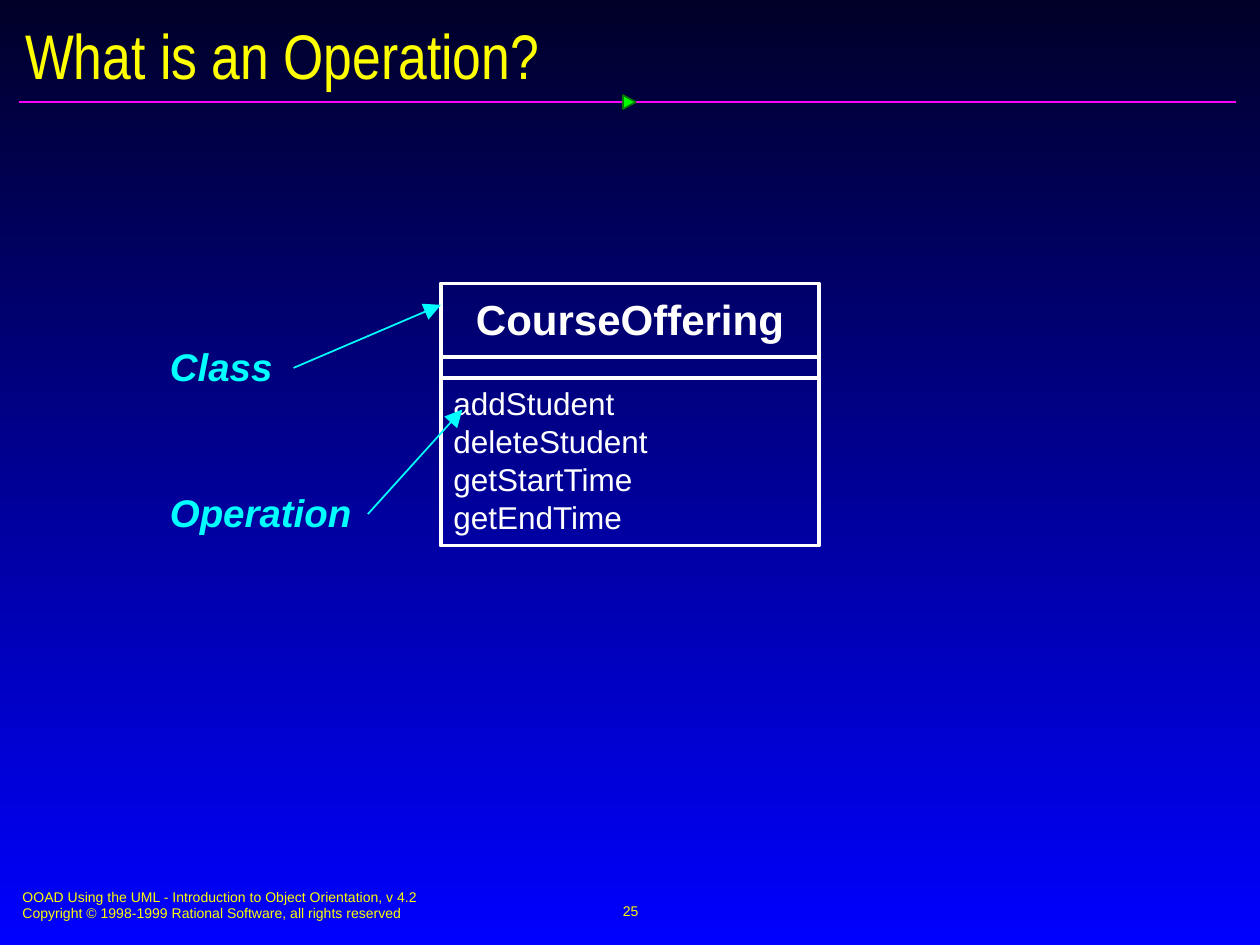
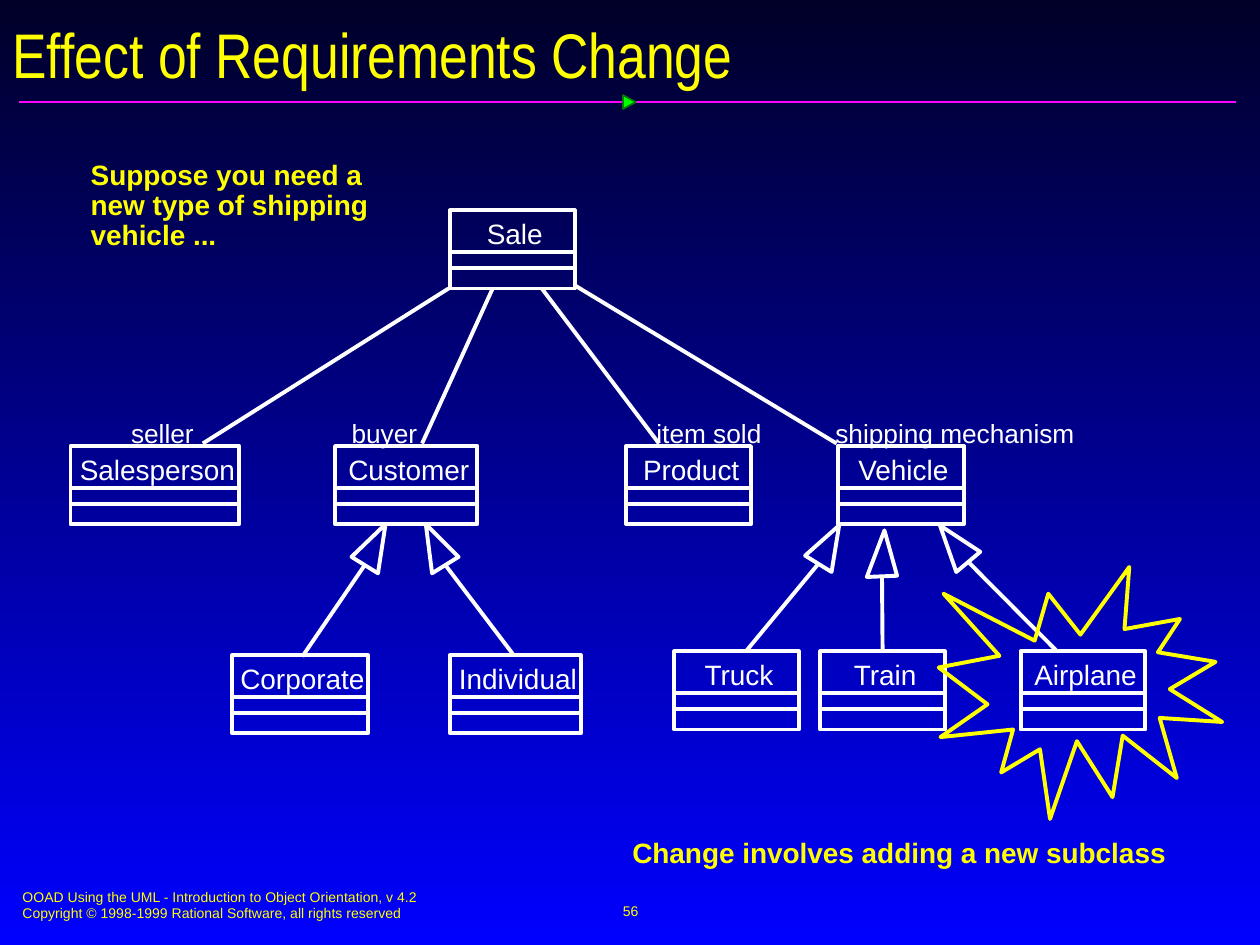
from lxml import etree
from pptx import Presentation
from pptx import util as u
from pptx.dml.color import RGBColor
from pptx.enum import shapes as kinds, text as txt
from pptx.oxml.ns import qn

WHITE, YELLOW, CYAN = "FFFFFF", "FFFF00", "00FFFF"
PINK, GREEN, MOSS = "FF01FF", "00FF00", "037C03"
NAVY, BLUE = "000028", "0000FF"
BODY, HEAD = "Arial", "Arial Narrow"
THICK, THIN = 2.25, 1
LEFT, MID = txt.PP_ALIGN.LEFT, txt.PP_ALIGN.CENTER
PAGE = (0, 0, 10, 7.5)


def paint(color, code):
    color.rgb = RGBColor.from_string(code)


def inch(*nums):
    return [u.Inches(n) for n in nums]


def ink(shape, line, width, fill=None):
    shape.shadow.inherit = False
    if fill:
        shape.fill.solid()
        paint(shape.fill.fore_color, fill)
    else:
        shape.fill.background()
    paint(shape.line.color, line)
    shape.line.width = u.Pt(width)
    return shape


def solid(slide, kind, box, line=WHITE, width=THICK, fill=None):
    return ink(slide.shapes.add_shape(kind, *inch(*box)), line, width, fill)


def link(slide, start, end, color=WHITE, width=THICK, tip=False):
    line = slide.shapes.add_connector(
        kinds.MSO_CONNECTOR.STRAIGHT, *inch(*start, *end))
    paint(line.line.color, color)
    line.line.width = u.Pt(width)
    props = line.element.spPr
    if tip:
        etree.SubElement(props.find(qn("a:ln")), qn("a:tailEnd"),
                         type="triangle", w="lg", len="lg")
    etree.SubElement(props, qn("a:effectLst"))
    return line


def style(frame, size, color, font=BODY, bold=False, slant=False, align=LEFT):
    for para in frame.paragraphs:
        para.alignment = align
        para.font.size = u.Pt(size)
        para.font.name = font
        para.font.bold = bold
        para.font.italic = slant
        paint(para.font.color, color)


def pad(frame, side, edge):
    frame.margin_left = frame.margin_right = u.Inches(side)
    frame.margin_top = frame.margin_bottom = u.Inches(edge)


def write(slide, box, words, size, color, inset=(0.1, 0.05), wrap=True, **look):
    shape = slide.shapes.add_textbox(*inch(*box))
    frame = shape.text_frame
    frame.word_wrap = wrap
    pad(frame, *inset)
    frame.text = words
    style(frame, size, color, **look)
    return shape


def backdrop(master):
    fill = master.background.fill
    fill.gradient()
    fill.gradient_angle = 270
    for stop, code in zip(fill.gradient_stops, (NAVY, BLUE)):
        paint(stop.color, code)


def band(slide, master, box):
    x, y, w, h = box
    parts = [
        link(slide, (x + 0.15, y + 0.81), (x + w - 0.19, y + 0.81), PINK, THIN),
        solid(slide, kinds.MSO_SHAPE.ISOSCELES_TRIANGLE,
              (x + 4.94, y + 0.76, 0.11, 0.1), MOSS, THIN, GREEN),
        write(slide, (x + 0.08, y + h - 0.5, 5.1, 0.37),
              "OOAD Using the UML - Introduction to Object Orientation, v 4.2\n"
              "Copyright © 1998-1999 Rational Software, all rights reserved",
              8, YELLOW),
    ]
    parts[1].rotation = 90
    for num, part in enumerate(parts, 20):
        part.element.xpath("./*/p:cNvPr")[0].set("id", str(num))
        master.shapes.element.append(part.element)


def head(slide, words, number, anchor=txt.MSO_ANCHOR.MIDDLE, inset=(0.1, 0.05)):
    title = slide.shapes.title
    title.left, title.top, title.width, title.height = inch(0.1, 0.14, 9.84, 0.58)
    frame = title.text_frame
    frame.text = words
    frame.auto_size = txt.MSO_AUTO_SIZE.NONE
    frame.vertical_anchor = anchor
    pad(frame, *inset)
    style(frame, 36, YELLOW, HEAD)
    page = write(slide, (3.42, 6.98, 3.17, 0.5), number, 8, YELLOW,
                 wrap=False, align=MID)
    page.text_frame.vertical_anchor = txt.MSO_ANCHOR.MIDDLE


def frame_box(slide, box, rules):
    x, y, w, h = box
    rect = solid(slide, kinds.MSO_SHAPE.RECTANGLE, box)
    for drop in rules:
        link(slide, (x, y + drop), (x + w, y + drop))
    return rect


def detail(slide, box, name, acts):
    x, y, w, h = box
    frame_box(slide, box, (0.58, 0.75))
    write(slide, (x, y + 0.08, w, 0.4), name, 24, WHITE, (0, 0),
          wrap=False, bold=True, align=MID)
    write(slide, (x, y + 0.75, w - 0.08, h - 0.75), "\n".join(acts), 18, WHITE)


def brief(slide, name, x, y, w):
    rect = frame_box(slide, (x, y, w, 0.62), (0.33, 0.46))
    write(slide, (x + 0.02, y, w, 0.37), name, 16, WHITE, (0, 0.05),
          wrap=False, align=MID)
    return rect


def callout(slide, words, spot, start, end):
    write(slide, (*spot, 2.58, 0.47), words, 22, CYAN, bold=True, slant=True)
    link(slide, start, end, CYAN, THIN, tip=True)


def inherit(slide, tip, left, right, tail):
    pen = slide.shapes.build_freeform(*inch(*tip))
    pen.add_line_segments([inch(*left), inch(*right)], close=True)
    ink(pen.convert_to_shape(), WHITE, THICK)
    base = [(a + b) / 2 for a, b in zip(left, right)]
    return link(slide, base, tail)


def operation(slide):
    head(slide, "What is an Operation?", "25")
    detail(slide, (3.5, 2.25, 3, 2.08), "CourseOffering",
           ("addStudent", "deleteStudent", "getStartTime", "getEndTime"))
    callout(slide, "Class", (1.25, 2.67), (2.33, 2.92), (3.5, 2.42))
    callout(slide, "Operation", (1.25, 3.83), (2.92, 4.08), (3.67, 3.25))


def change(slide):
    head(slide, "Effect of Requirements Change", "56",
         txt.MSO_ANCHOR.BOTTOM, (0, 0))
    note = write(slide, (0.65, 1.24, 2.44, 0.79),
                 "Suppose you need a new type of shipping vehicle ...",
                 16, YELLOW, (0.07, 0.04), bold=True)
    note.text_frame.paragraphs[0].line_spacing = 0.9

    rows = (
        (1.67, (("Sale", 3.57, 0.99),)),
        (3.54, (("Salesperson", 0.56, 1.34), ("Customer", 2.66, 1.13),
                ("Product", 4.97, 0.99), ("Vehicle", 6.65, 1))),
        (5.2, (("Corporate", 1.84, 1.08), ("Individual", 3.57, 1.04))),
        (5.17, (("Truck", 5.35, 0.99), ("Train", 6.51, 0.99),
                ("Airplane", 8.1, 0.99))),
    )
    rects = {name: brief(slide, name, x, y, w)
             for y, row in rows for name, x, w in row}

    roles = (
        ("seller", 0.92, 1.33, (3.56, 2.29), 1.61),
        ("buyer", 2.67, 1.33, (3.91, 2.29), 3.35),
        ("item sold", 5.09, 1.33, (4.3, 2.29), 5.23),
        ("shipping mechanism", 6.51, 2.33, (4.57, 2.27), 6.64),
    )
    for role, x, w, start, end in roles:
        link(slide, start, (end, 3.52))
        write(slide, (x, 3.25, w, 0.37), role, 15, WHITE, (0.12, 0.06))

    inherit(slide, (3.06, 4.16), (3, 4.55), (2.79, 4.42), (2.4, 5.21))
    inherit(slide, (3.38, 4.16), (3.64, 4.42), (3.43, 4.55), (4.07, 5.19))
    inherit(slide, (6.66, 4.17), (6.6, 4.54), (6.39, 4.41), (5.92, 5.17))
    stem = inherit(slide, (7.02, 4.21), (7.12, 4.57), (6.88, 4.58), (7.01, 5.17))
    stem.end_connect(rects["Train"], 0)
    inherit(slide, (7.46, 4.17), (7.78, 4.38), (7.59, 4.54), (8.38, 5.16))

    solid(slide, kinds.MSO_SHAPE.EXPLOSION1, (7.45, 4.5, 2.25, 2), YELLOW)
    write(slide, (4.92, 6.58, 4.44, 0.37), "Change involves adding a new subclass",
          16, YELLOW, wrap=False, bold=True)


def main():
    deck = Presentation()
    deck.slide_width, deck.slide_height = inch(*PAGE[2:])
    master = deck.slide_master
    backdrop(master)
    first, second = [deck.slides.add_slide(deck.slide_layouts[5]) for _ in range(2)]
    band(first, master, PAGE)
    operation(first)
    change(second)
    deck.save("out.pptx")


if __name__ == "__main__":
    main()
